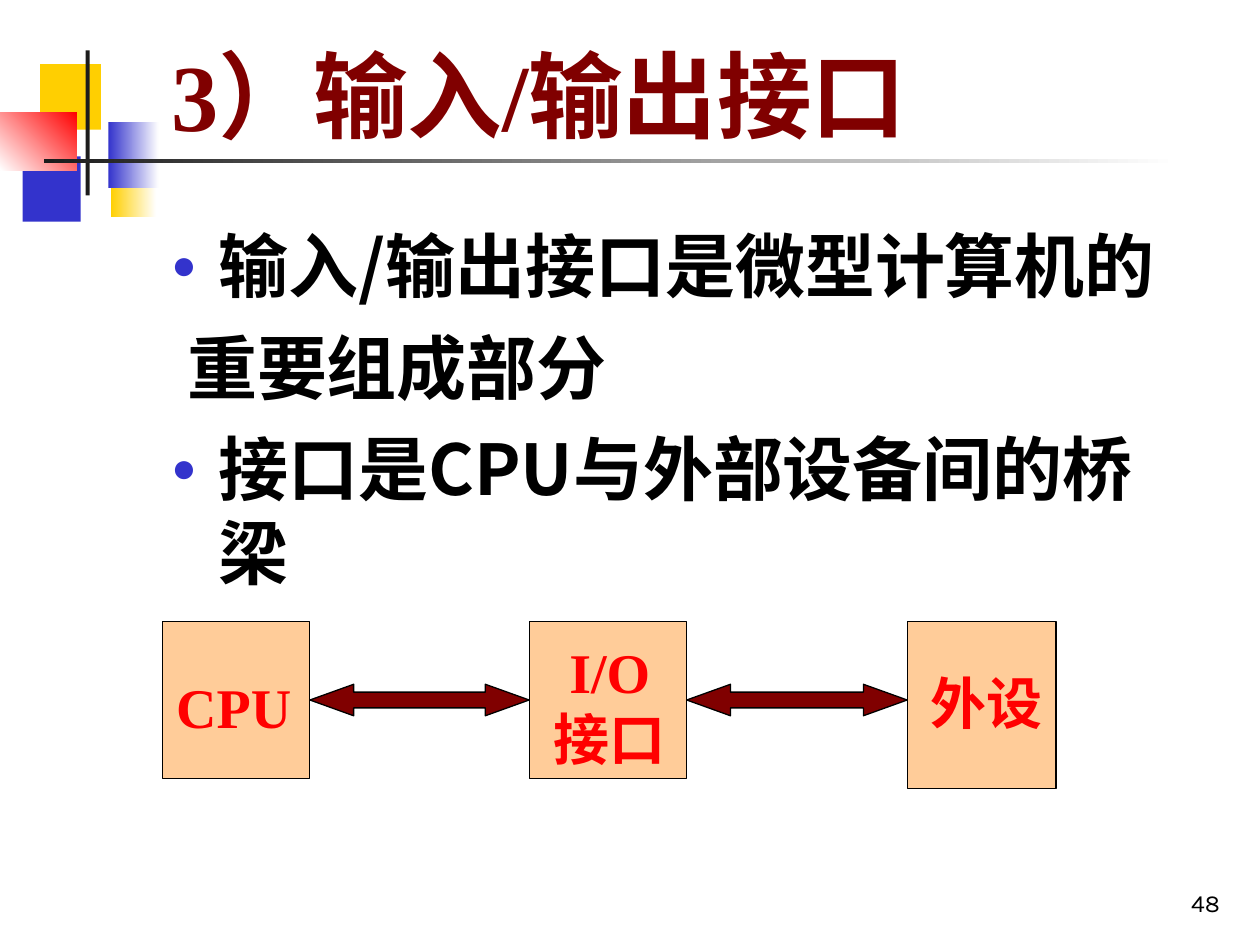
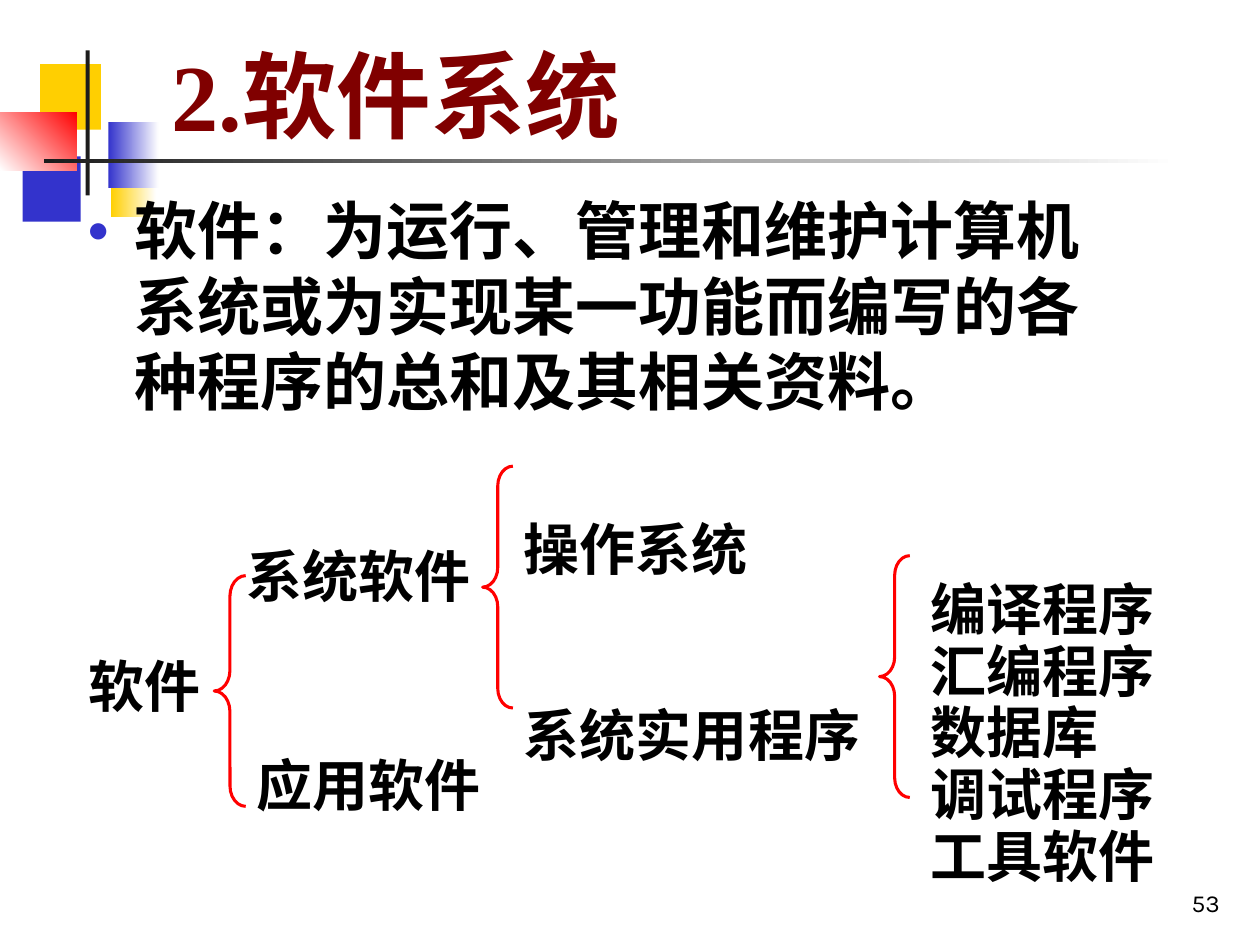
import pptx
import pptx.util
import pptx.dml.color
import pptx.enum.shapes
import pptx.enum.text
import pptx.oxml
import pptx.oxml.ns

Pt = pptx.util.Pt
SHAPE = pptx.enum.shapes.MSO_SHAPE
ALIGN = pptx.enum.text.PP_ALIGN
ANCHOR = pptx.enum.text.MSO_ANCHOR

COLORS = {
    "white": "FFFFFF", "black": "000000", "ink": "1C1C1C", "maroon": "800000",
    "red": "FF0000", "blue": "3333CC", "yellow": "FFCF01", "peach": "FFCC99",
}
SANS = "Noto Sans CJK SC"
SERIF = "Times New Roman"

TITLE = {"size": Pt(54), "name": SERIF, "bold": True}
BODY = {"size": Pt(40), "name": SANS, "bold": True}
DEFINITION = {"size": Pt(36), "name": SANS, "bold": True}
DEVICE = {"size": Pt(32), "name": SERIF, "bold": True}
BRANCH = {"size": Pt(32), "name": SANS, "bold": True}
PAGE = {"size": Pt(14), "name": "Karla", "bold": False}

HANGING = 27
PAGE_BOX = (554.4, 491.8, 149.8, 36)

EMBLEM = [
    ((63.4, 86.4, 25.9, 37.4), "yellow", 0),
    ((13, 89.3, 33.1, 37.4), "blue", None),
    ((23, 36.7, 34.6, 37.4), "yellow", None),
    ((61.9, 69.8, 28.8, 37.4), "blue", 0),
    ((0, 64.1, 43.9, 33.1), "red", 225),
    ((49, 28.8, 2.2, 82.8), "ink", None),
    ((25.2, 90.7, 648, 2.2), "ink", 0),
]

INTERFACE = {
    "page": "48",
    "title": "3）输入/输出接口",
    "title_box": (90.7, 41.8, 613.4, 47.5),
    "body_box": (90.7, 123.8, 598.3, 378),
    "body_font": BODY,
    "gap": 10,
    "body": [
        ("输入/输出接口是微型计算机的", True),
        ("重要组成部分", False),
        ("接口是CPU与外部设备间的桥梁", True),
    ],
}
SOFTWARE = {
    "page": "53",
    "title": "2.软件系统",
    "title_box": (90.7, 16.6, 613.4, 72.7),
    "body_box": (42.5, 105.8, 612, 324),
    "body_font": DEFINITION,
    "gap": 9,
    "body": [("软件：为运行、管理和维护计算机系统或为实现某一功能而编写的各种程序的总和及其相关资料。", True)],
}

DEVICE_TOP = 355
DEVICES = [
    (["CPU"], 92.9, 84.2, 90, (93.6, 380.9, 85, 46), ALIGN.LEFT),
    (["I/O", "接口"], 302.4, 90, 90, (303.1, 360.7, 90.7, 84.2), ALIGN.CENTER),
    (["外设"], 518.4, 85, 95.8, (524.9, 378.7, 84, 46), ALIGN.LEFT),
]
BUS_TOP, BUS_HEIGHT = 391, 18

BRANCHES = [
    (["软件"], (43.2, 368.6, 90, 46)),
    (["系统软件"], (133.9, 306, 157, 46)),
    (["应用软件"], (139.7, 425.5, 170, 46)),
    (["操作系统"], (292.3, 290.6, 215.3, 46)),
    (["系统实用程序"], (292.3, 396.5, 215.3, 46)),
    (["编译程序", "汇编程序", "数据库", "调试程序", "工具软件"], (524.9, 328.3, 159, 183)),
]
TOOL_SPACING = 0.925
BRACES = [
    (122.4, 329, 18, 131.8),
    (275.8, 266.4, 17.3, 138.2),
    (502.6, 317.5, 17.3, 138.2),
]


def rgb(color):
    return pptx.dml.color.RGBColor.from_string(COLORS[color])


def assign(target, values):
    for attribute, value in values.items():
        setattr(target, attribute, value)


def place(part, box):
    assign(part, dict(zip(("left", "top", "width", "height"), map(Pt, box))))


def sub(parent, tag, **attributes):
    child = pptx.oxml.parse_xml(f"<a:{tag} {pptx.oxml.ns.nsdecls('a')}/>")
    for key, value in attributes.items():
        child.set(key, value)
    parent.append(child)
    return child


def write(paragraph, text, font, color):
    run = paragraph.add_run()
    run.text = text
    assign(run.font, font)
    run.font.color.rgb = rgb(color)
    sub(run.font._element, "ea", typeface=SANS)


def add_label(slide, lines, box, font, color, align=ALIGN.LEFT, anchor=ANCHOR.TOP, spacing=None):
    frame = slide.shapes.add_textbox(*map(Pt, box)).text_frame
    assign(frame, {"word_wrap": True, "vertical_anchor": anchor})
    for index, line in enumerate(lines):
        paragraph = frame.add_paragraph() if index else frame.paragraphs[0]
        assign(paragraph, {"alignment": align, "line_spacing": spacing})
        write(paragraph, line, font, color)


def add_figure(slide, preset, box, fill=None, line=None, weight=0.75):
    figure = slide.shapes.add_shape(preset, *map(Pt, box))
    figure.shadow.inherit = False
    if fill:
        figure.fill.solid()
        figure.fill.fore_color.rgb = rgb(fill)
    else:
        figure.fill.background()
    if line:
        figure.line.color.rgb = rgb(line)
        figure.line.width = Pt(weight)
    else:
        figure.line.fill.background()
    return figure


def add_emblem(slide, master):
    for number, (box, color, angle) in enumerate(EMBLEM, 100):
        tile = add_figure(slide, SHAPE.RECTANGLE, box, color)
        if angle is not None:
            tile.fill.gradient()
            tile.fill.gradient_angle = angle
            for stop, stop_color in zip(tile.fill.gradient_stops, (color, "white")):
                stop.color.rgb = rgb(stop_color)
        tile._element.nvSpPr.cNvPr.set("id", str(number))
        master.shapes._spTree.append(tile._element)


def set_bullet(paragraph, bulleted):
    props = paragraph._p.get_or_add_pPr()
    props.set("marL", str(Pt(HANGING)))
    props.set("indent", str(Pt(-HANGING if bulleted else -HANGING + 9)))
    if bulleted:
        sub(sub(props, "buClr"), "srgbClr", val=COLORS["blue"])
        sub(props, "buSzPct", val="60000")
        sub(props, "buChar", char="●")
    else:
        sub(props, "buNone")


def add_page(deck, content):
    slide = deck.slides.add_slide(deck.slide_layouts[1])
    title, body = slide.placeholders
    for holder, key, anchor in ((title, "title_box", ANCHOR.BOTTOM), (body, "body_box", ANCHOR.TOP)):
        place(holder, content[key])
        assign(holder.text_frame, {
            "auto_size": pptx.enum.text.MSO_AUTO_SIZE.NONE,
            "word_wrap": True,
            "vertical_anchor": anchor,
        })
    heading = title.text_frame.paragraphs[0]
    heading.alignment = ALIGN.LEFT
    write(heading, content["title"], TITLE, "maroon")
    for index, (text, bulleted) in enumerate(content["body"]):
        frame = body.text_frame
        paragraph = frame.add_paragraph() if index else frame.paragraphs[0]
        set_bullet(paragraph, bulleted)
        paragraph.space_before = Pt(content["gap"] if index else 0)
        write(paragraph, text, content["body_font"], "black")
    add_label(slide, [content["page"]], PAGE_BOX, PAGE, "black", ALIGN.RIGHT, ANCHOR.BOTTOM)
    return slide


def add_interface_diagram(slide):
    for lines, left, width, height, label_box, align in DEVICES:
        add_figure(slide, SHAPE.RECTANGLE, (left, DEVICE_TOP, width, height), "peach", "black")
        add_label(slide, lines, label_box, DEVICE, "red", align)
    for (_, left, width, *_), (_, next_left, *_) in zip(DEVICES, DEVICES[1:]):
        start = left + width
        bus = add_figure(slide, SHAPE.LEFT_RIGHT_ARROW,
                         (start, BUS_TOP, next_left - start, BUS_HEIGHT), "maroon", "black")
        bus.adjustments[0] = 0.5
        bus.adjustments[1] = 1.39


def add_software_tree(slide):
    for lines, box in BRANCHES:
        add_label(slide, lines, box, BRANCH, "black",
                  spacing=TOOL_SPACING if len(lines) > 1 else None)
    for box in BRACES:
        brace = add_figure(slide, SHAPE.LEFT_BRACE, box, line="red", weight=1.75)
        brace.adjustments[0] = 0.65


def main():
    deck = pptx.Presentation()
    assign(deck, {"slide_width": Pt(720), "slide_height": Pt(540)})
    interface = add_page(deck, INTERFACE)
    add_emblem(interface, deck.slide_master)
    add_interface_diagram(interface)
    add_software_tree(add_page(deck, SOFTWARE))
    deck.save("out.pptx")


if __name__ == "__main__":
    main()
